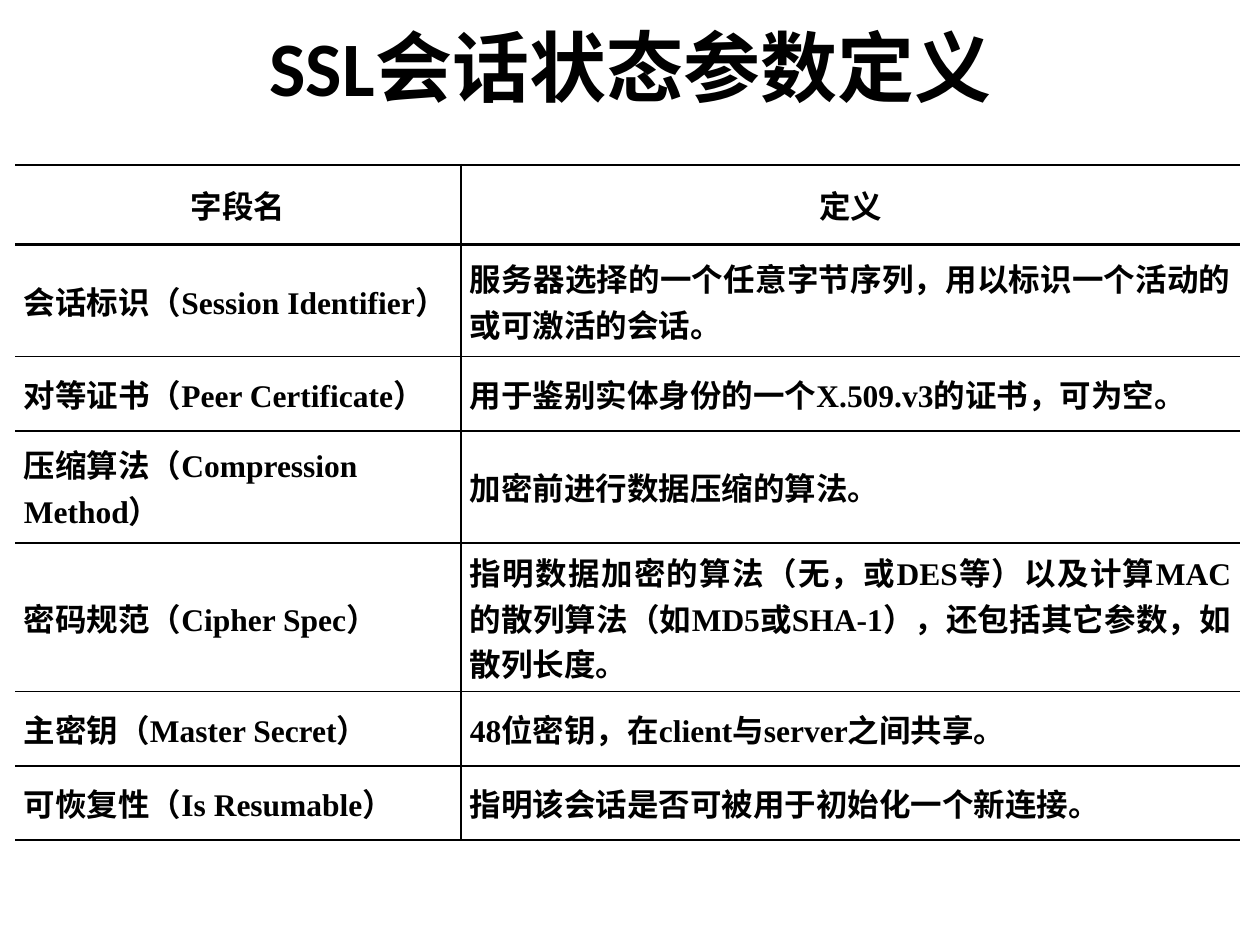
from lxml.etree import SubElement
from pptx import Presentation
from pptx.dml.color import RGBColor
from pptx.enum.text import MSO_ANCHOR, PP_ALIGN
from pptx.oxml.ns import qn
from pptx.util import Inches, Pt

BLACK = RGBColor(0, 0, 0)
WHITE = RGBColor(255, 255, 255)
COLS, ROWS = 100, 75

HEAD = ("字段名", "定义")
FIELDS = [
    ("会话标识（Session Identifier）",
     "服务器选择的一个任意字节序列，用以标识一个活动的或可激活的会话。"),
    ("对等证书（Peer Certificate）",
     "用于鉴别实体身份的一个X.509.v3的证书，可为空。"),
    ("压缩算法（Compression \nMethod）", "加密前进行数据压缩的算法。"),
    ("密码规范（Cipher Spec）",
     "指明数据加密的算法（无，或DES等）以及计算MAC的散列算法"
     "（如MD5或SHA-1），还包括其它参数，如散列长度。"),
    ("主密钥（Master Secret）", "48位密钥，在client与server之间共享。"),
    ("可恢复性（Is Resumable）", "指明该会话是否可被用于初始化一个新连接。"),
]
WIDTHS = (35.4, 61.8)
HEIGHTS = (6.3, 8.9, 5.9, 8.9, 11.8, 5.9, 5.9)


def write(frame, text, font="Times New Roman", size=18, bold=True,
          color=BLACK, align=PP_ALIGN.JUSTIFY):
    """Fill a text frame, one paragraph per line of text."""
    frame.word_wrap = True
    frame.text = text
    for para in frame.paragraphs:
        para.alignment = align
        face = para.font
        face.name, face.size, face.bold = font, Pt(size), bold
        face.color.rgb = color
        for run in para.runs:
            run.font.name, run.font.size, run.font.bold = font, Pt(size), bold
            run.font.color.rgb = color


def rule(cell, **sides):
    """Draw cell borders, given as side=points; zero leaves a side bare."""
    props = cell._tc.get_or_add_tcPr()
    for at, side in enumerate("LRTB"):
        width = sides.get(side, 0)
        line = SubElement(props, qn(f"a:ln{side}"), w=str(Pt(width)))
        if width:
            fill = SubElement(line, qn("a:solidFill"))
            SubElement(fill, qn("a:srgbClr"), val=str(BLACK))
        else:
            SubElement(line, qn("a:noFill"))
        props.insert(at, line)


class Deck:
    """Holds the page grid and the current slide."""

    def __init__(self):
        self.show = Presentation()
        self.show.slide_width, self.show.slide_height = Inches(10), Inches(7.5)
        self.slide = self.show.slides.add_slide(self.show.slide_layouts[6])

    def wide(self, cols):
        return round(self.show.slide_width * cols / COLS)

    def high(self, rows):
        return round(self.show.slide_height * rows / ROWS)

    def area(self, left, top, width, height):
        return (self.wide(left), self.high(top),
                self.wide(width), self.high(height))

    def title(self, text, *area):
        frame = self.slide.shapes.add_textbox(*self.area(*area)).text_frame
        frame.vertical_anchor = MSO_ANCHOR.MIDDLE
        write(frame, text, font="Calibri", size=44, align=PP_ALIGN.CENTER)

    def table(self, data, left, top, widths, heights):
        area = self.area(left, top, sum(widths), sum(heights))
        table = self.slide.shapes.add_table(
            len(heights), len(widths), *area).table
        table.horz_banding = False
        for col, width in zip(table.columns, widths):
            col.width = self.wide(width)
        for row, height in zip(table.rows, heights):
            row.height = self.high(height)
        last = len(data) - 1
        for r, texts in enumerate(data):
            for c, text in enumerate(texts):
                cell = table.cell(r, c)
                cell.fill.solid()
                cell.fill.fore_color.rgb = WHITE
                cell.vertical_anchor = MSO_ANCHOR.MIDDLE
                cell.margin_left = cell.margin_right = self.wide(0.7)
                cell.margin_top = cell.margin_bottom = 0
                write(cell.text_frame, text,
                      align=PP_ALIGN.JUSTIFY if r else PP_ALIGN.CENTER)
                rule(cell, L=1 if c else 0, R=0 if c else 1,
                     T=1.5 if r < 2 else 1,
                     B=1.5 if r in (0, last) else 1)


def main():
    deck = Deck()
    deck.title("SSL会话状态参数定义", 2, 0.5, 96.1, 9.4)
    deck.table([HEAD, *FIELDS], 1.2, 13.1, WIDTHS, HEIGHTS)
    deck.show.save("out.pptx")


if __name__ == "__main__":
    main()
